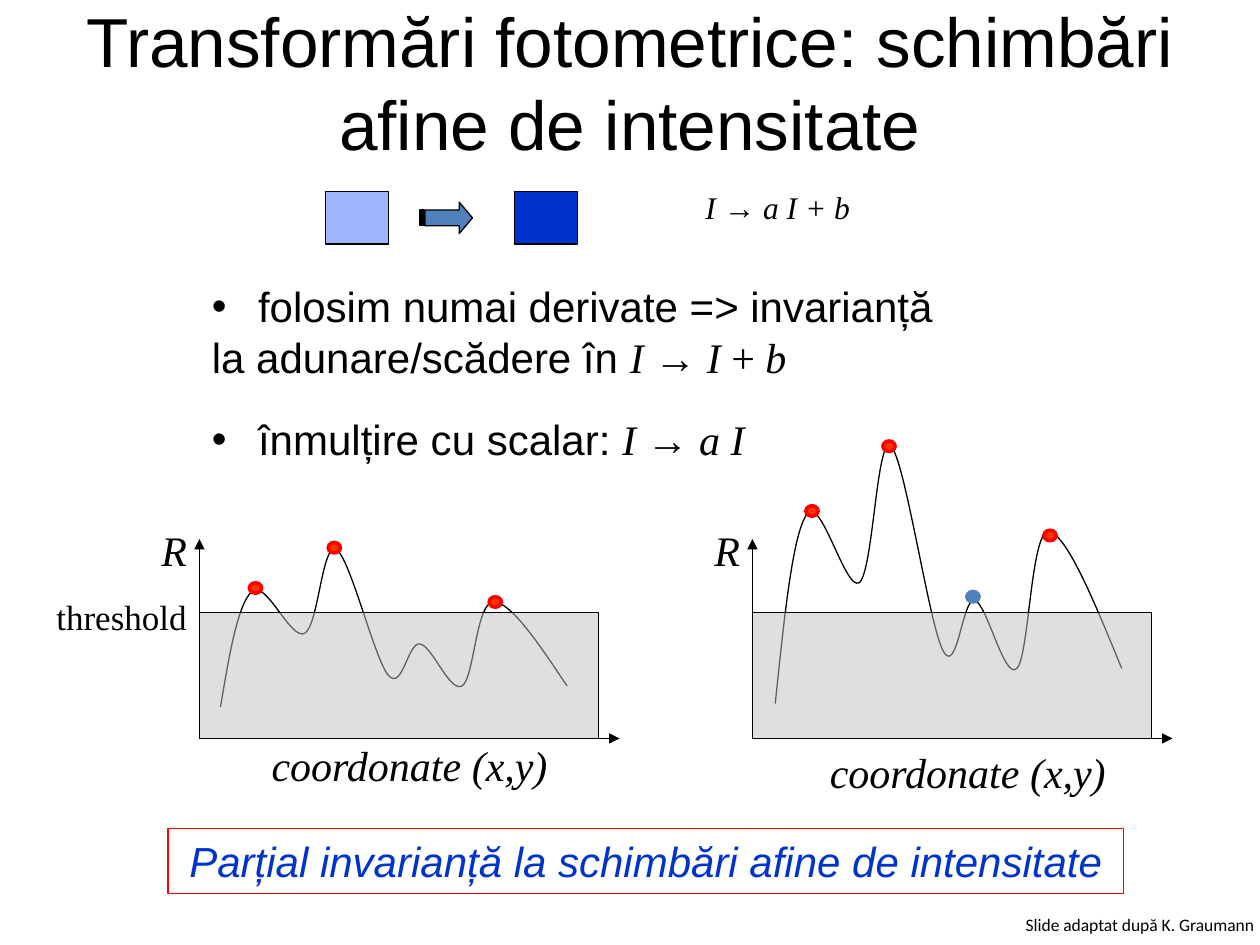
from lxml import etree
from pptx import Presentation
from pptx.dml.color import RGBColor
from pptx.enum.shapes import MSO_CONNECTOR, MSO_SHAPE
from pptx.enum.text import MSO_ANCHOR, MSO_AUTO_SIZE, PP_ALIGN
from pptx.oxml.ns import qn
from pptx.util import Pt

BLACK, RED, BLUE, DEEP_BLUE = "000000", "FF0000", "4F81BD", "0033CC"
SANS, SERIF = "Arial", "Times New Roman"


def color(hex_string):
    return RGBColor.from_string(hex_string)


def add_run(paragraph, text, size=24, font=SERIF, ink=BLACK, italic=False):
    run = paragraph.add_run()
    run.text = text
    run.font.size = Pt(size)
    run.font.name = font
    run.font.italic = italic
    run.font.color.rgb = color(ink)


class SlideBuilder:
    """Holds the shared style and the slide being drawn."""

    line_color = BLACK
    line_width = 0.75

    def __init__(self, slide):
        self.slide = slide

    def style_line(self, line, ink=None, width=None):
        line.color.rgb = color(ink or self.line_color)
        line.width = Pt(width or self.line_width)

    def title(self, text, left, top, width, height, size):
        shape = self.slide.shapes.title
        shape.left, shape.top, shape.width, shape.height = map(Pt, (left, top, width, height))
        frame = shape.text_frame
        frame.word_wrap = True
        frame.auto_size = MSO_AUTO_SIZE.NONE
        frame.vertical_anchor = MSO_ANCHOR.MIDDLE
        frame.paragraphs[0].alignment = PP_ALIGN.CENTER
        add_run(frame.paragraphs[0], text, size=size, font=SANS)

    def text(self, runs, left, top, width, height, align=PP_ALIGN.LEFT,
             wrap=False, bullet_gap=None):
        """Each run is a (text, format) pair."""
        box = self.slide.shapes.add_textbox(Pt(left), Pt(top), Pt(width), Pt(height))
        box.text_frame.word_wrap = wrap
        paragraph = box.text_frame.paragraphs[0]
        paragraph.alignment = align
        if bullet_gap:
            properties = paragraph._p.get_or_add_pPr()
            properties.set("marL", "0")
            properties.set("indent", "0")
            etree.SubElement(properties, qn("a:buFont"), typeface=SANS)
            etree.SubElement(properties, qn("a:buChar"), char="•")
            tabs = etree.SubElement(properties, qn("a:tabLst"))
            etree.SubElement(tabs, qn("a:tab"), pos=str(Pt(bullet_gap)), algn="l")
        for text, style in runs:
            add_run(paragraph, text, **style)

    def shape(self, kind, left, top, width, height, fill=None, line=None,
              line_width=None, alpha=None):
        shape = self.slide.shapes.add_shape(kind, Pt(left), Pt(top), Pt(width), Pt(height))
        shape.shadow.inherit = False
        if fill:
            shape.fill.solid()
            shape.fill.fore_color.rgb = color(fill)
        else:
            shape.fill.background()
        if alpha:
            paint = shape.element.spPr.find(qn("a:solidFill"))[0]
            etree.SubElement(paint, qn("a:alpha"), val=str(alpha * 1000))
        self.style_line(shape.line, line, line_width)
        return shape

    def arrow(self, start, end):
        connector = self.slide.shapes.add_connector(
            MSO_CONNECTOR.STRAIGHT, *map(Pt, (*start, *end)))
        self.style_line(connector.line)
        etree.SubElement(connector.line._ln, qn("a:tailEnd"), type="triangle")
        etree.SubElement(connector.element.spPr, qn("a:effectLst"))

    def curve(self, points):
        """Draw cubic segments: a start, then two controls and an end for each."""
        points = [(Pt(x), Pt(y)) for x, y in points]
        builder = self.slide.shapes.build_freeform(*points[0])
        builder.add_line_segments(points[1:], close=False)
        shape = builder.convert_to_shape()
        shape.shadow.inherit = False
        shape.fill.background()
        self.style_line(shape.line)
        # Turn every three straight segments into one cubic segment
        segments = list(shape.element.iter(qn("a:lnTo")))
        for first in range(0, len(segments), 3):
            cubic = etree.SubElement(segments[first].getparent(), qn("a:cubicBezTo"))
            for segment in segments[first:first + 3]:
                cubic.append(segment[0])
                segment.getparent().remove(segment)

    def plot(self, left, curve_left, curve_y, caption_left, caption_top):
        bottom = 422
        self.curve([(curve_left + x, y) for x, y in zip(CURVE_X, curve_y)])
        self.arrow((left, bottom), (left + 240, bottom))
        self.arrow((left, bottom), (left, bottom - 114))
        self.text([("R", {"italic": True})], left - 29, 296, 29, 36, PP_ALIGN.CENTER)
        self.text([("coordonate (x,y)", {"italic": True})],
                  caption_left, caption_top, 176, 36, PP_ALIGN.CENTER)
        self.shape(MSO_SHAPE.RECTANGLE, left, bottom - 72, 228, 72, "C0C0C0", alpha=50)

    def marker(self, x, y, fill="FF3300", line=RED):
        self.shape(MSO_SHAPE.OVAL, x - 3.5, y - 3, 7, 6, fill, line, 2)


def formula(before, after, size=24):
    return [(before + " ", {"italic": True, "size": size}), ("→ ", {"size": size}),
            (after, {"italic": True, "size": size})]


# Response curves: shared x offsets, one list of heights per plot
CURVE_X = [0, 5, 10, 18, 26, 40, 48, 56, 58, 66, 74, 88, 96,
           104, 107, 114, 121, 131, 138, 145, 146, 156, 166, 182, 198]
BEFORE_Y = [404, 374, 345, 338, 331, 366, 362, 358, 310, 314, 318, 377, 386,
            395, 367, 368, 369, 396, 392, 388, 344, 344, 344, 368, 392]
AFTER_Y = [402, 354, 305, 294, 282, 338, 333, 327, 248, 255, 261, 358, 372,
           387, 341, 343, 345, 389, 382, 376, 304, 304, 304, 343, 382]
BEFORE_PEAKS = [(146, 336), (191, 313), (283, 344)]
AFTER_PEAKS = [(464, 292), (508, 255), (600, 306)]


def main():
    presentation = Presentation()
    presentation.slide_width, presentation.slide_height = Pt(720), Pt(540)
    builder = SlideBuilder(presentation.slides.add_slide(presentation.slide_layouts[5]))
    sans = {"font": SANS}

    builder.title("Transformări fotometrice: schimbări afine de intensitate",
                  36, 1.5, 648, 90, 39.6)

    # Bulleted statements
    addition = [("\tfolosim numai derivate => invarianță la adunare/scădere în ", sans),
                *formula("I", "I "), ("+ ", {}), ("b", {"italic": True})]
    builder.text(addition, 114, 157, 438, 66, wrap=True, bullet_gap=26.4)
    scaling = [("\tînmulțire cu scalar: ", sans), *formula("I", "a I")]
    builder.text(scaling, 114, 233, 408, 36, wrap=True, bullet_gap=26.4)

    # Responses before and after the intensity change
    builder.plot(114, 126, BEFORE_Y, 146, 419)
    builder.text([("threshold", {"size": 20})], 25, 337, 89, 31, PP_ALIGN.CENTER)
    builder.plot(430, 443, AFTER_Y, 465, 423)
    for x, y in BEFORE_PEAKS + AFTER_PEAKS:
        builder.marker(x, y)
    builder.marker(556, 341, BLUE, BLUE)

    # Conclusion
    conclusion = builder.shape(MSO_SHAPE.RECTANGLE, 96, 473.5, 546, 37, line=RED)
    paragraph = conclusion.text_frame.paragraphs[0]
    paragraph.alignment = PP_ALIGN.CENTER
    add_run(paragraph, "Parțial invarianță la schimbări afine de intensitate",
            font=SANS, ink=DEEP_BLUE, italic=True)

    # Intensity change: light square, arrow, dark square, formula
    builder.text(formula("I", "a I + b", 18), 396, 104, 145, 41)
    for left, fill in ((294, DEEP_BLUE), (186, "9FB6FF")):
        builder.shape(MSO_SHAPE.RECTANGLE, left, 109.5, 36, 30, fill)
    change = builder.shape(MSO_SHAPE.STRIPED_RIGHT_ARROW, 240, 115.5, 30, 18, BLUE)
    change.adjustments[1] = 0.42

    # Credit
    builder.text([("Slide adaptat după K. Graumann", {"size": 10, "font": "Calibri"})],
                 579, 519, 232, 19, wrap=True)

    presentation.save("out.pptx")


if __name__ == "__main__":
    main()
